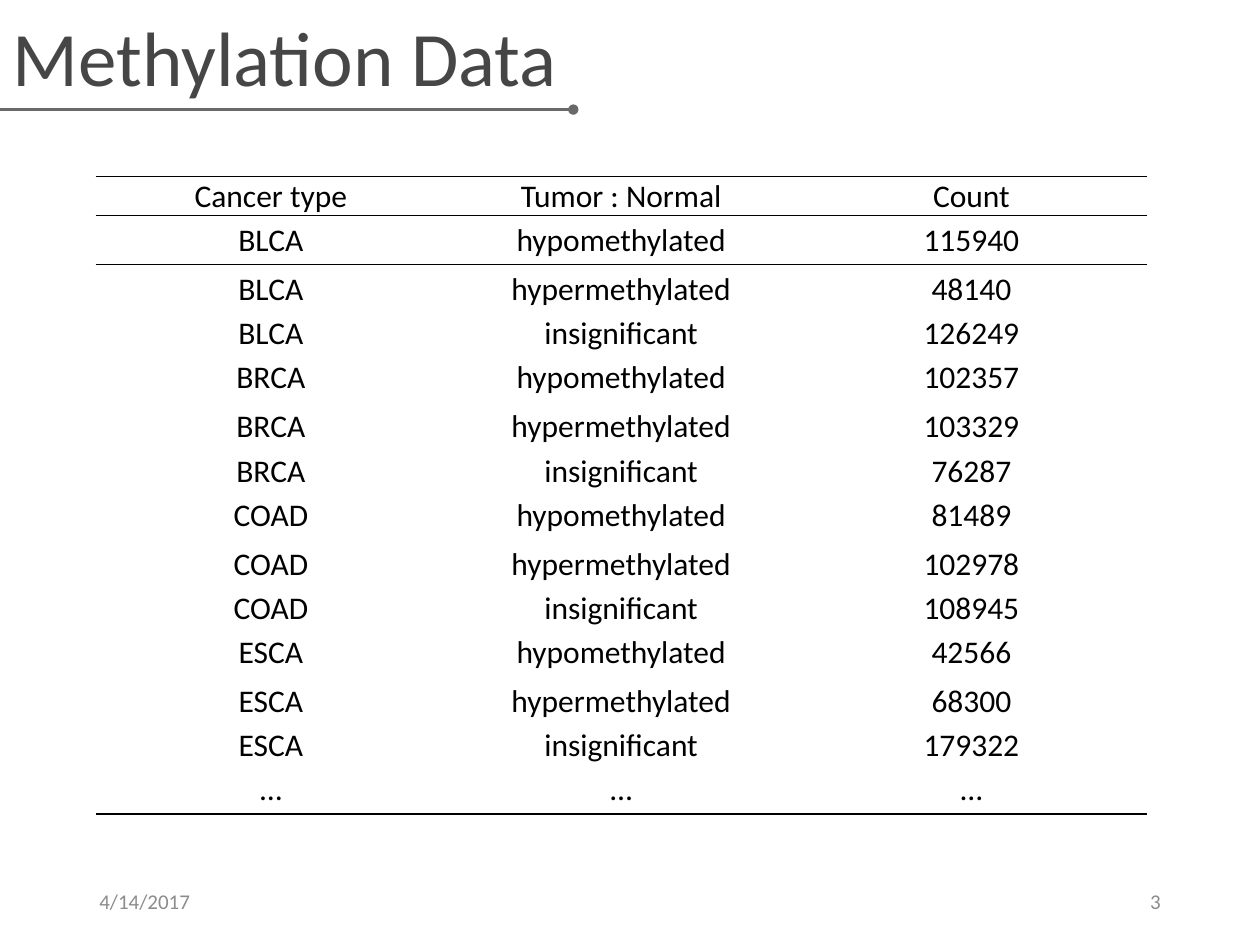
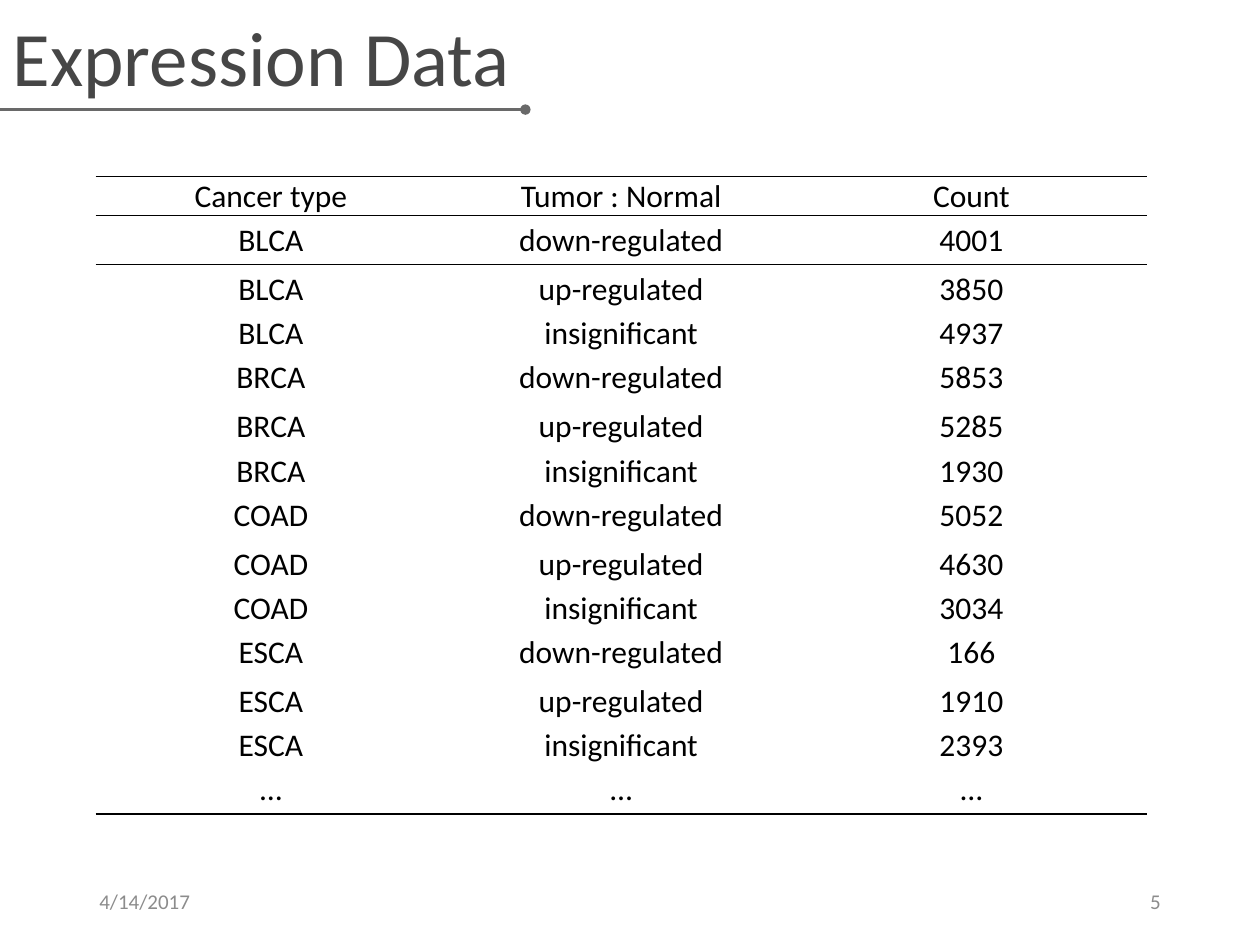
from itertools import product
from lxml import etree
from pptx import Presentation
from pptx.dml.color import RGBColor as RGB
from pptx.enum.shapes import MSO_CONNECTOR as Link
from pptx.enum.text import MSO_ANCHOR as Anchor, PP_ALIGN as Align
from pptx.oxml import parse_xml
from pptx.oxml.ns import nsdecls, qn
from pptx.util import Inches, Pt

INK = RGB(0x46, 0x46, 0x46)
RULE = RGB(0x69, 0x69, 0x69)
MUTE = RGB(0x8C, 0x8C, 0x8C)
BLACK = RGB(0, 0, 0)
FONT = "Calibri"
PLAIN = "{2D5ABB26-0587-4C30-8999-92F81FD0307C}"

HEADS = ("Cancer type", "Tumor : Normal", "Count")
TYPES = ("BLCA", "BRCA", "COAD", "ESCA")
DOTS = ("…",) * 3
METHYL = ("hypomethylated", "hypermethylated", "insignificant")
EXPRESS = ("down-regulated", "up-regulated", "insignificant")
SLIDES = (
    ("Methylation Data", "3", 4.55, METHYL,
     (115940, 48140, 126249, 102357, 103329, 76287,
      81489, 102978, 108945, 42566, 68300, 179322)),
    ("Expression Data", "5", 4.17, EXPRESS,
     (4001, 3850, 4937, 5853, 5285, 1930,
      5052, 4630, 3034, 166, 1910, 2393)),
)


def style(para, size, color, align):
    """Format a paragraph and its runs."""
    para.alignment = align
    for run in para.runs:
        run.font.name = FONT
        run.font.size = Pt(size)
        run.font.color.rgb = color


def place(shape, left, top, width, height):
    """Move and size a shape, in inches."""
    shape.left, shape.top = Inches(left), Inches(top)
    shape.width, shape.height = Inches(width), Inches(height)


def add_title(slide, text, end):
    """Set the title and the dotted rule under it."""
    title = slide.shapes.title
    place(title, 0, 0, 10, 0.98)
    frame = title.text_frame
    frame.text = text
    frame.vertical_anchor = Anchor.MIDDLE
    para = frame.paragraphs[0]
    para.line_spacing = 0.9
    style(para, 44, INK, Align.LEFT)

    rule = slide.shapes.add_connector(
        Link.STRAIGHT, Inches(end), Inches(0.87), 0, Inches(0.87))
    rule.line.color.rgb = RULE
    rule.line.width = Pt(1.5)
    props = rule._element.spPr
    etree.SubElement(props.find(qn("a:ln")), qn("a:headEnd"), type="oval")
    etree.SubElement(props, qn("a:effectLst"))


def add_foot(slide, text, left, align):
    """Add one footer text."""
    box = slide.shapes.add_textbox(
        Inches(left), Inches(6.95), Inches(2.25), Inches(0.4))
    frame = box.text_frame
    frame.word_wrap = True
    frame.vertical_anchor = Anchor.MIDDLE
    frame.text = text
    style(frame.paragraphs[0], 12, MUTE, align)


def add_edge(cell, side):
    """Draw a thin black border on one side of a cell."""
    cell._tc.get_or_add_tcPr().append(parse_xml(
        f'<a:ln{side} {nsdecls("a")} w="{Pt(1)}"><a:solidFill>'
        f'<a:srgbClr val="{BLACK}"/></a:solidFill></a:ln{side}>'))


def fill_cell(cell, text, sides):
    """Write a centred cell with borders on the given sides."""
    cell.margin_left = cell.margin_right = cell.margin_top = Inches(0.01)
    cell.margin_bottom = 0
    cell.vertical_anchor = Anchor.MIDDLE
    cell.text = text
    style(cell.text_frame.paragraphs[0], 18, BLACK, Align.CENTER)
    for side in sides:
        add_edge(cell, side)
    cell.fill.background()


def add_grid(slide, rows):
    """Add a table ruled above, below and under its head."""
    last = len(rows) - 1
    edges = {0: "TB", 1: "T", last: "B"}
    table = slide.shapes.add_table(
        len(rows), len(HEADS), Inches(0.76), Inches(1.4),
        Inches(8.34), Inches(5)).table
    table.first_row = table.horz_banding = False
    table._tbl.tblPr.find(qn("a:tableStyleId")).text = PLAIN
    for col in table.columns:
        col.width = Inches(2.78)
    for i, row in enumerate(rows):
        table.rows[i].height = Inches(0.39 if i % 3 else 0.26)
        for j, text in enumerate(row):
            fill_cell(table.cell(i, j), text, edges.get(i, ""))


def main():
    """Build and save the deck."""
    deck = Presentation()
    deck.slide_width, deck.slide_height = Inches(10), Inches(7.5)
    for title, page, end, states, counts in SLIDES:
        slide = deck.slides.add_slide(deck.slide_layouts[5])
        add_foot(slide, "4/14/2017", 0.69, Align.LEFT)
        add_foot(slide, page, 7.06, Align.RIGHT)
        add_title(slide, title, end)
        body = [(kind, state, str(count)) for (kind, state), count
                in zip(product(TYPES, states), counts)]
        add_grid(slide, [HEADS, *body, DOTS])
    deck.save("out.pptx")


if __name__ == "__main__":
    main()
